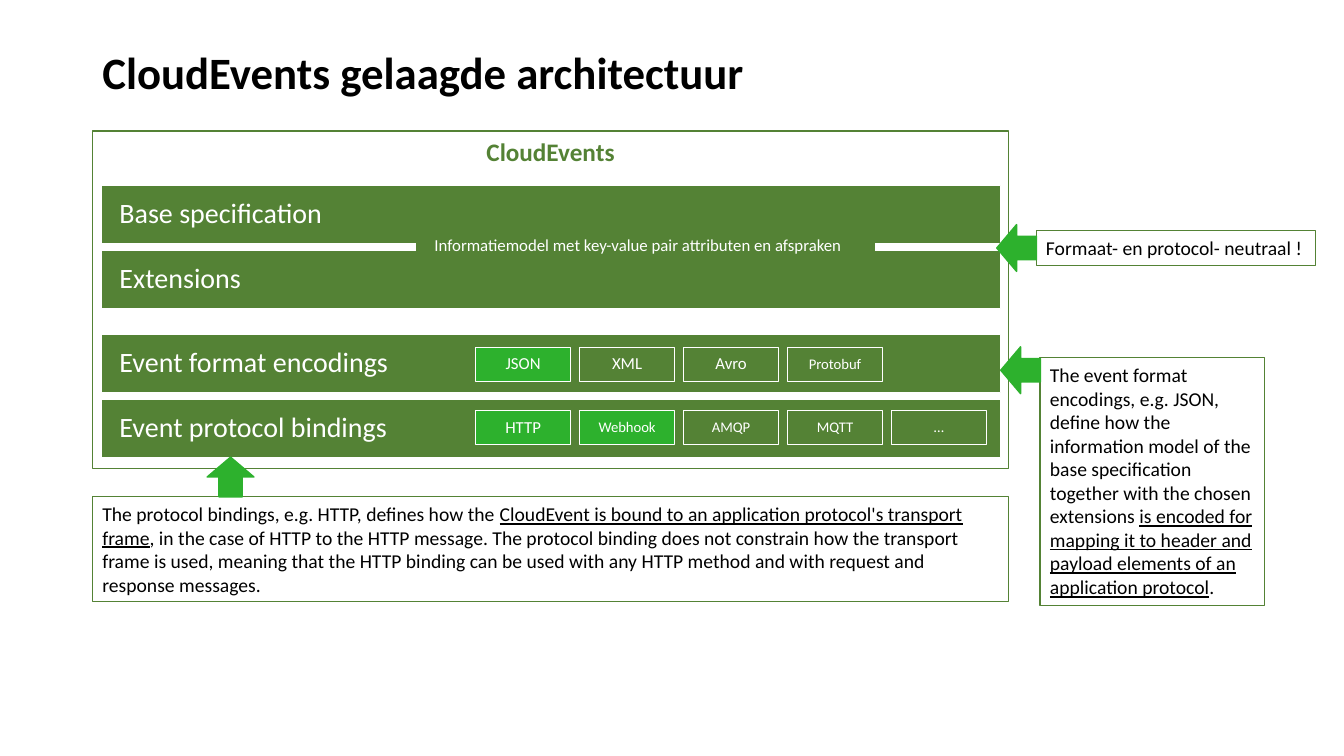
import pptx
import pptx.util
import pptx.dml.color
import pptx.enum.shapes
import pptx.enum.text

Cm = pptx.util.Cm
Pt = pptx.util.Pt
RGBColor = pptx.dml.color.RGBColor
SHAPE = pptx.enum.shapes.MSO_SHAPE
ANCHOR = pptx.enum.text.MSO_ANCHOR
ALIGN = pptx.enum.text.PP_ALIGN

BLACK = RGBColor(0x00, 0x00, 0x00)
WHITE = RGBColor(0xFF, 0xFF, 0xFF)
GREEN = RGBColor(0x54, 0x82, 0x35)
BRIGHT = RGBColor(0x2D, 0xB1, 0x2D)


class Layers:
    font = "Calibri"

    def __init__(self, slide):
        self.slide = slide

    def shape(self, kind, box, fill=None, line=None, weight=1):
        sp = self.slide.shapes.add_shape(kind, *map(Cm, box))
        sp.shadow.inherit = False
        if fill is None:
            sp.fill.background()
        else:
            sp.fill.solid()
            sp.fill.fore_color.rgb = fill
        if line is None:
            sp.line.fill.background()
        else:
            sp.line.color.rgb = line
            sp.line.width = Pt(weight)
        return sp

    def label(self, sp, parts, size, color, bold=False, align=ALIGN.LEFT,
              anchor=ANCHOR.TOP, spacing=1.0, inset=0.25, pad=0.13):
        tf = sp.text_frame
        tf.word_wrap = True
        tf.vertical_anchor = anchor
        tf.margin_left = tf.margin_right = Cm(inset)
        tf.margin_top = tf.margin_bottom = Cm(pad)
        p = tf.paragraphs[0]
        p.alignment = align
        p.line_spacing = spacing
        p.font.name = self.font
        p.font.size = Pt(size)
        p.font.bold = bold
        p.font.color.rgb = color
        for i, part in enumerate(parts):
            r = p.add_run()
            r.text = part
            if i % 2:
                r.font.underline = True

    def title(self, box, text):
        sp = self.slide.shapes.add_textbox(*map(Cm, box))
        self.label(sp, [text], 32, BLACK, bold=True,
                   anchor=ANCHOR.MIDDLE, spacing=0.9)

    def frame(self, box, text):
        sp = self.shape(SHAPE.RECTANGLE, box, line=GREEN)
        self.label(sp, [text], 18, GREEN, bold=True, align=ALIGN.CENTER)

    def block(self, box, text, size, fill=GREEN, line=WHITE,
              align=ALIGN.LEFT, inset=0.46):
        sp = self.shape(SHAPE.RECTANGLE, box, fill, line)
        self.label(sp, [text], size, WHITE, align=align,
                   anchor=ANCHOR.MIDDLE, spacing=0.9, inset=inset, pad=0)

    def chips(self, top, items):
        for i, (text, size, fill) in enumerate(items):
            self.block((11.99 + 2.62 * i, top, 2.39, 0.86), text, size,
                       fill, align=ALIGN.CENTER, inset=0.1)

    def note(self, box, *parts):
        sp = self.shape(SHAPE.RECTANGLE, box, line=GREEN, weight=0.75)
        self.label(sp, parts, 14, BLACK)

    def arrow(self, left, top, rotation=0):
        sp = self.shape(SHAPE.LEFT_ARROW, (left, top, 1, 1.18),
                        BRIGHT, BRIGHT)
        sp.rotation = rotation


def main():
    prs = pptx.Presentation()
    prs.slide_width = Cm(33.87)
    prs.slide_height = Cm(19.05)
    s = Layers(prs.slides.add_slide(prs.slide_layouts[6]))

    s.title((2.33, 1.02, 29.21, 1.75), "CloudEvents gelaagde architectuur")
    for top, text in [(4.67, "Base specification"),
                      (6.3, "Extensions"),
                      (8.43, "Event format encodings"),
                      (10.06, "Event protocol bindings")]:
        s.block((2.55, top, 22.67, 1.47), text, 20)
    s.frame((2.33, 3.3, 23.09, 8.51), "CloudEvents")
    s.block((10.49, 5.49, 11.56, 1.4),
            "Informatiemodel met key-value pair attributen en afspraken",
            12, line=None)

    s.chips(8.75, [("JSON", 12, BRIGHT), ("XML", 12, GREEN),
                   ("Avro", 12, GREEN), ("Protobuf", 10.5, GREEN)])
    s.chips(10.35, [("HTTP", 12, BRIGHT), ("Webhook", 10.5, BRIGHT),
                    ("AMQP", 10.5, GREEN), ("MQTT", 10.5, GREEN),
                    ("…", 10.5, GREEN)])

    s.note((26.21, 9.02, 5.67, 6.25),
           "The event format encodings, e.g. JSON, define how the information "
           "model of the base specification together with the chosen "
           "extensions ",
           "is encoded for mapping it to header and payload elements of an "
           "application protocol",
           ".")
    s.note((2.33, 12.52, 23.09, 2.64),
           "The protocol bindings, e.g. HTTP, defines how the ",
           "CloudEvent is bound to an application protocol's transport frame",
           ", in the case of HTTP to the HTTP message. The protocol binding "
           "does not constrain how the transport frame is used, meaning that "
           "the HTTP binding can be used with any HTTP method and with request "
           "and response messages.")
    s.note((26.11, 5.82, 7.04, 0.86), "Formaat- en protocol- neutraal !")

    s.arrow(25.22, 8.74)
    s.arrow(5.31, 11.43, 90)
    s.arrow(25.12, 5.66)
    prs.save("out.pptx")


if __name__ == "__main__":
    main()
